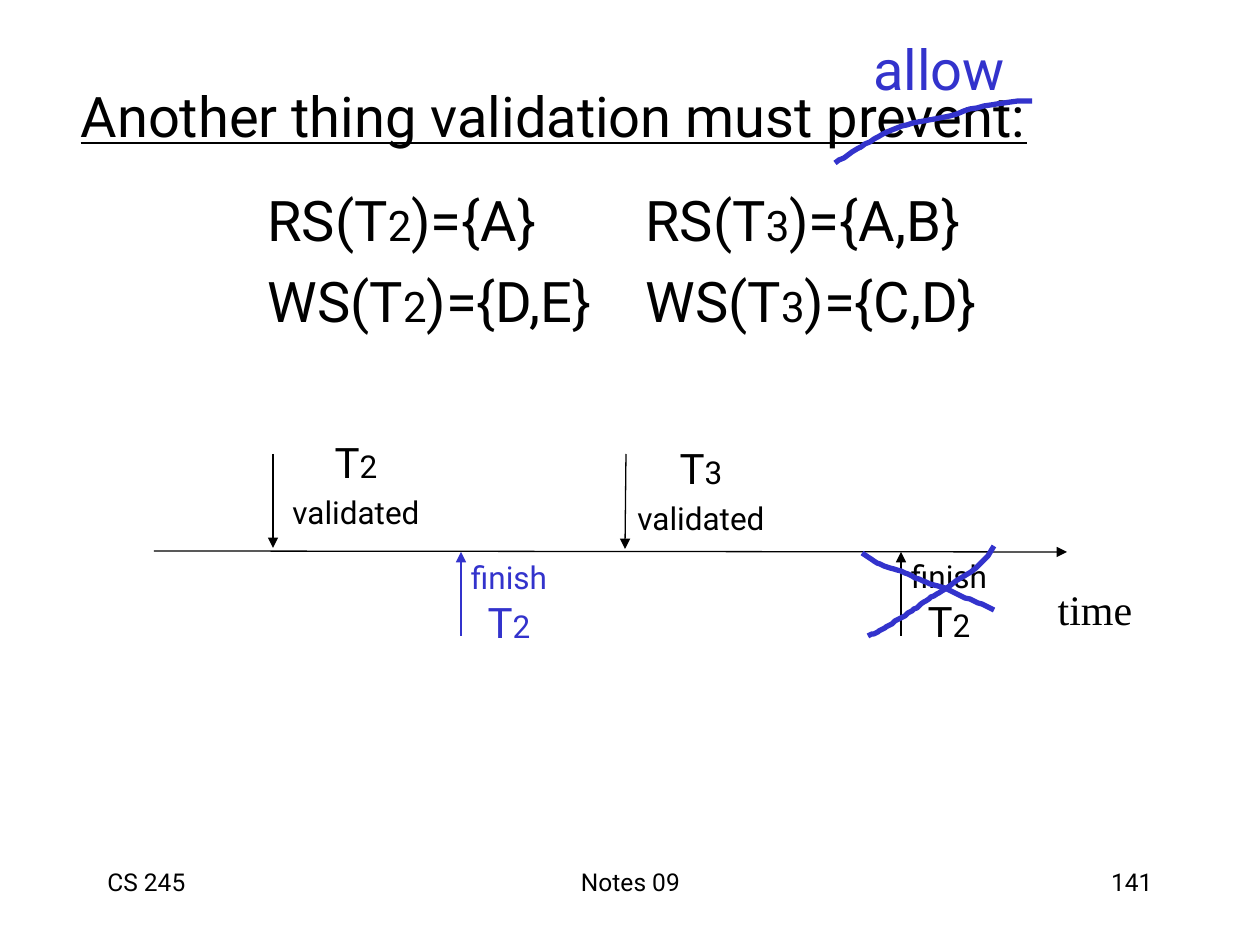
from lxml import etree
from pptx import Presentation
from pptx import util as u
from pptx.dml.color import RGBColor
from pptx.enum import shapes, text
from pptx.oxml import ns

PX = 914400 / 126
BLACK, BLUE = "000000", "3333CC"
SANS, SERIF = "Roboto", "Times New Roman"
ALIGN, ANCHOR, FIT = text.PP_ALIGN, text.MSO_ANCHOR, text.MSO_AUTO_SIZE


def px(length):
    return u.Emu(round(length * PX))


def colour(code):
    return RGBColor.from_string(code)


def add_span(para, words, size, code=BLACK, font=SANS):
    span = para.add_run()
    span.text = words
    span.font.size = u.Pt(size)
    span.font.name = font
    span.font.color.rgb = colour(code)
    return span


def add_box(page, place, wrap=False):
    """Text box that is middle-anchored and grows when it does not wrap."""
    box = page.shapes.add_textbox(*map(px, place))
    frame = box.text_frame
    frame.word_wrap = wrap
    frame.auto_size = FIT.NONE if wrap else FIT.SHAPE_TO_FIT_TEXT
    frame.vertical_anchor = ANCHOR.TOP if wrap else ANCHOR.MIDDLE
    return frame


def add_label(page, place, words, size, code=BLACK, font=SANS,
              align=ALIGN.CENTER, wrap=False):
    para = add_box(page, place, wrap).paragraphs[0]
    para.alignment = align
    add_span(para, words, size, code, font)


def add_transaction(para, number, code=BLACK):
    para.alignment = ALIGN.CENTER
    add_span(para, "T", 24, code)
    add_span(para, number, 18, code)


def add_validated(page, left, top, number):
    frame = add_box(page, (left, top, 160, 106))
    add_transaction(frame.paragraphs[0], number)
    para = frame.add_paragraph()
    para.alignment = ALIGN.CENTER
    para.line_spacing = 0.6
    para.space_before = u.Pt(11.2)
    add_span(para, "validated", 18)


def add_finish(page, left, top, code):
    frame = add_box(page, (left, top, 106, 101))
    para = frame.paragraphs[0]
    para.alignment = ALIGN.CENTER
    add_span(para, "finish", 18, code)
    add_transaction(frame.add_paragraph(), "2", code)


def add_arrow(page, start, end, code=BLACK, tip="tailEnd"):
    line = page.shapes.add_connector(
        shapes.MSO_CONNECTOR.STRAIGHT, *map(px, start + end))
    line.line.color.rgb = colour(code)
    line.line.width = u.Pt(0.75)
    etree.SubElement(line.line._get_or_add_ln(), ns.qn("a:" + tip), type="triangle")
    etree.SubElement(line._element.spPr, ns.qn("a:effectLst"))


def add_pen_stroke(page, points, steps=12):
    """Smooth stroke through cubic segments: start, then three points each."""
    track = []
    for first in range(0, len(points) - 1, 3):
        a, b, c, d = points[first:first + 4]
        for step in range(1, steps + 1):
            t = step / steps
            s = 1 - t
            track.append(tuple(
                s**3 * a[i] + 3 * s * s * t * b[i] + 3 * s * t * t * c[i] + t**3 * d[i]
                for i in (0, 1)))
    builder = page.shapes.build_freeform(*points[0], scale=PX)
    builder.add_line_segments(track, close=False)
    stroke = builder.convert_to_shape()
    stroke.shadow.inherit = False
    stroke.fill.background()
    stroke.line.color.rgb = colour(BLUE)
    stroke.line.width = u.Pt(3)


def set_title(page, words):
    title = page.shapes.title
    title.left, title.top, title.width, title.height = map(px, (68, 55, 1071, 120))
    frame = title.text_frame
    frame.auto_size = FIT.NONE
    frame.vertical_anchor = ANCHOR.MIDDLE
    para = frame.paragraphs[0]
    para.alignment = ALIGN.LEFT
    add_span(para, words, 32).font.underline = True


def add_sets(page, rows):
    """Read and write sets, one column per transaction on tab stops."""
    frame = add_box(page, (81, 179, 1071, 190), wrap=True)
    for index, (kind, columns) in enumerate(rows):
        para = frame.add_paragraph() if index else frame.paragraphs[0]
        if index:
            para.space_before = u.Pt(8)
        tabs = etree.SubElement(para._p.get_or_add_pPr(), ns.qn("a:tabLst"))
        for stop in (174, 552):
            etree.SubElement(tabs, ns.qn("a:tab"), pos=str(px(stop)), algn="l")
        for number, members in columns:
            add_span(para, f"\t{kind}(T", 32)
            add_span(para, number, 24)
            add_span(para, f")={{{members}}}", 32)


def main():
    deck = Presentation()
    deck.slide_width, deck.slide_height = px(1260), px(945)
    page = deck.slides.add_slide(deck.slide_layouts[5])

    # Footer
    for left, width, words, align in ((95, 262, "CS 245", ALIGN.LEFT),
                                      (431, 399, "Notes 09", ALIGN.CENTER),
                                      (903, 262, "141", ALIGN.RIGHT)):
        add_label(page, (left, 861, width, 63), words, 14, align=align, wrap=True)

    # Title and sets
    set_title(page, "Another thing validation must prevent:")
    add_sets(page, (("RS", (("2", "A"), ("3", "A,B"))),
                    ("WS", (("2", "D,E"), ("3", "C,D")))))

    # Time axis
    add_arrow(page, (154, 551), (1067, 552))
    add_label(page, (1045, 577, 100, 63), "time", 24, font=SERIF)

    # Validation events
    add_arrow(page, (273, 454), (273, 548))
    add_arrow(page, (626, 454), (625, 549))
    add_validated(page, 276, 430, "2")
    add_validated(page, 621, 436, "3")

    # Finish events
    for left, top, x, code in ((896, 551, 901, BLACK), (456, 552, 461, BLUE)):
        add_finish(page, left, top, code)
        add_arrow(page, (x, 552), (x, 636), code, tip="headEnd")

    # Correction in pen: new word, struck word, crossed-out finish
    add_label(page, (857, 28, 164, 81), "allow", 32, BLUE)
    add_pen_stroke(page, (
        (835, 163), (853, 152), (869, 141), (887, 132), (905, 123),
        (931, 120), (950, 116), (977, 106), (1004, 101), (1032, 101)))
    add_pen_stroke(page, (
        (868, 636), (876, 633), (883, 630), (890, 625), (896, 620),
        (905, 616), (912, 611), (921, 604), (931, 597), (942, 591),
        (960, 578), (984, 567), (994, 546)))
    add_pen_stroke(page, (
        (862, 553), (874, 562), (886, 568), (901, 571), (915, 578),
        (930, 585), (945, 588), (961, 597), (978, 602), (994, 610)))

    deck.save("out.pptx")


if __name__ == "__main__":
    main()
